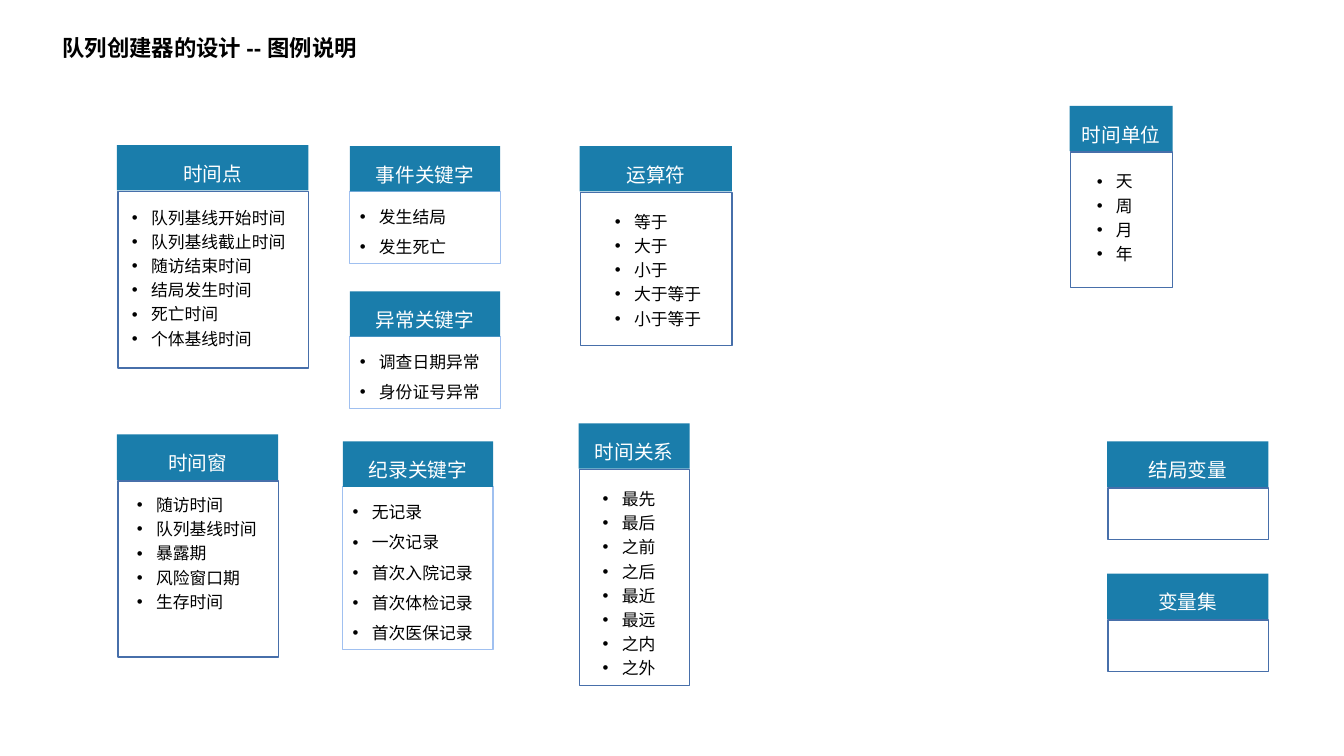
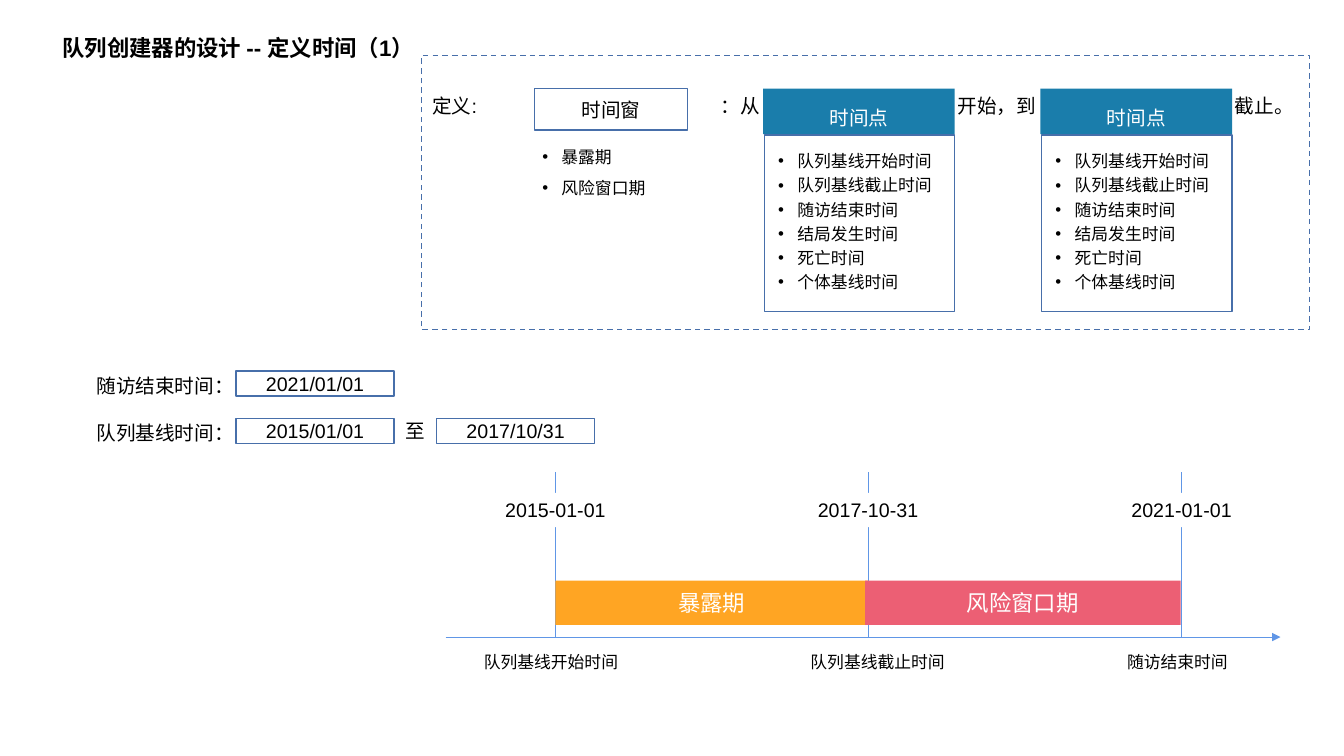
from lxml.etree import SubElement
from pptx import Presentation
from pptx.dml.color import RGBColor
from pptx.enum.dml import MSO_LINE
from pptx.enum.shapes import MSO_CONNECTOR, MSO_SHAPE
from pptx.enum.text import MSO_ANCHOR, MSO_AUTO_SIZE, PP_ALIGN
from pptx.oxml.ns import qn
from pptx.util import Inches, Pt

BLACK = RGBColor(0x00, 0x00, 0x00)
WHITE = RGBColor(0xFF, 0xFF, 0xFF)
HEADER_BLUE = RGBColor(0x1A, 0x7D, 0xAB)
FRAME_BLUE = RGBColor(0x47, 0x6F, 0xAA)
PALE_BLUE = RGBColor(0xA0, 0xC0, 0xF0)
AXIS_BLUE = RGBColor(0x60, 0x96, 0xE6)
ORANGE = RGBColor(0xFF, 0xA5, 0x23)
ROSE = RGBColor(0xEC, 0x5F, 0x74)
FONT = "Arial"
HEADER_HEIGHT = 0.45
BULLET_INDENT = 0.19
TIME_POINTS = ["队列基线开始时间", "队列基线截止时间", "随访结束时间",
               "结局发生时间", "死亡时间", "个体基线时间"]


def add_bullet(paragraph):
    """Give a paragraph a round bullet with a hanging indent."""
    properties = paragraph._p.get_or_add_pPr()
    properties.set("marL", str(Inches(BULLET_INDENT)))
    properties.set("indent", str(-Inches(BULLET_INDENT)))
    SubElement(properties, qn("a:buFont"), typeface=FONT)
    SubElement(properties, qn("a:buChar"), char="•")


def write(shape, lines, size=14, color=BLACK, align=PP_ALIGN.LEFT, spacing=1.0,
          anchor=MSO_ANCHOR.TOP, bold=False, bullets=False):
    """Fill a shape with equally formatted paragraphs."""
    frame = shape.text_frame
    frame.word_wrap = True
    frame.auto_size = MSO_AUTO_SIZE.NONE
    frame.vertical_anchor = anchor
    frame.text = "\n".join(lines)
    for paragraph in frame.paragraphs:
        if bullets:
            add_bullet(paragraph)
        paragraph.alignment = align
        paragraph.line_spacing = spacing
        paragraph.font.name = FONT
        paragraph.font.size = Pt(size)
        paragraph.font.bold = bold
        paragraph.font.color.rgb = color


def add_text(slide, lines, left, top, width, height, **style):
    """Add a text box."""
    box = slide.shapes.add_textbox(Inches(left), Inches(top), Inches(width), Inches(height))
    write(box, lines, **style)


def add_box(slide, left, top, width, height, fill=None, line=None, line_width=1):
    """Add a rectangle with an optional fill and outline."""
    box = slide.shapes.add_shape(MSO_SHAPE.RECTANGLE, Inches(left), Inches(top),
                                 Inches(width), Inches(height))
    box.shadow.inherit = False
    if fill is None:
        box.fill.background()
    else:
        box.fill.solid()
        box.fill.fore_color.rgb = fill
    if line is None:
        box.line.fill.background()
    else:
        box.line.color.rgb = line
        box.line.width = Pt(line_width)
    return box


def add_line(slide, start, end, arrow=False):
    """Add a thin straight line, with an arrowhead at its end if wanted."""
    connector = slide.shapes.add_connector(MSO_CONNECTOR.STRAIGHT, *map(Inches, start + end))
    connector.line.color.rgb = AXIS_BLUE
    connector.line.width = Pt(0.5)
    if arrow:
        SubElement(connector.line._get_or_add_ln(), qn("a:tailEnd"), type="triangle")
    SubElement(connector._element.spPr, qn("a:effectLst"))


def add_header(slide, title, left, top, width):
    """Add the blue header of a card."""
    header = add_box(slide, left, top, width, HEADER_HEIGHT, fill=HEADER_BLUE)
    write(header, [title], color=WHITE, align=PP_ALIGN.CENTER, spacing=1.5)


def add_card(slide, title, items, left, top, width, body_height, offset=(0.05, 0.53)):
    """Add a header over a framed list, whose text starts at the offset."""
    add_header(slide, title, left, top, width)
    add_box(slide, left + 0.01, top + HEADER_HEIGHT + 0.01, width - 0.01, body_height,
            line=FRAME_BLUE)
    if items:
        across, down = offset
        add_text(slide, items, left + across, top + down, width - across,
                 body_height + HEADER_HEIGHT - down, size=12, spacing=1.2, bullets=True)


def add_keyword_card(slide, title, items, left, top, body_height):
    """Add a header over a pale frame that holds the list itself."""
    width = 1.49
    body = add_box(slide, left, top + HEADER_HEIGHT, width, body_height,
                   line=PALE_BLUE, line_width=0.75)
    write(body, items, size=12, spacing=1.5, bullets=True)
    add_header(slide, title, left, top, width)


def add_field(slide, text, left, top, width=1.57, height=0.25):
    """Add an outlined input field."""
    field = add_box(slide, left, top, width, height, line=FRAME_BLUE)
    write(field, [text], align=PP_ALIGN.CENTER, anchor=MSO_ANCHOR.MIDDLE)


def add_titled_slide(presentation, title):
    """Add a title-only slide with the shared title style."""
    slide = presentation.slides.add_slide(presentation.slide_layouts[5])
    shape = slide.shapes.title
    shape.left, shape.top, shape.width, shape.height = map(Inches, (0.52, 0.29, 4.75, 0.37))
    write(shape, [title], size=16, bold=True)
    return slide


def build_legend(presentation):
    """Build the slide that lists all building blocks."""
    slide = add_titled_slide(presentation, "队列创建器的设计 -- 图例说明")
    cards = [
        ("时间点", TIME_POINTS, 1.16, 1.44, 1.9, 1.75, (0.05, 0.53)),
        ("时间窗", ["随访时间", "队列基线时间", "暴露期", "风险窗口期", "生存时间"],
         1.16, 4.31, 1.6, 1.75, (0.1, 0.51)),
        ("时间单位", ["天", "周", "月", "年"], 10.61, 1.05, 1.02, 1.34, (0.17, 0.56)),
        ("运算符", ["等于", "大于", "小于", "大于等于", "小于等于"],
         5.75, 1.45, 1.51, 1.52, (0.25, 0.56)),
        ("时间关系", ["最先", "最后", "之前", "之后", "最近", "最远", "之内", "之外"],
         5.74, 4.2, 1.1, 2.14, (0.14, 0.56)),
        ("结局变量", [], 10.98, 4.38, 1.6, 0.51),
        ("变量集", [], 10.98, 5.69, 1.6, 0.51),
    ]
    for card in cards:
        add_card(slide, *card)
    keyword_cards = [
        ("事件关键字", ["发生结局", "发生死亡"], 3.47, 1.45, 0.71),
        ("异常关键字", ["调查日期异常", "身份证号异常"], 3.47, 2.89, 0.71),
        ("纪录关键字", ["无记录", "一次记录", "首次入院记录", "首次体检记录", "首次医保记录"],
         3.4, 4.38, 1.61),
    ]
    for card in keyword_cards:
        add_keyword_card(slide, *card)


def add_definition(slide):
    """Add the dashed panel with the sentence that defines a time window."""
    top = 0.88
    for text, left, width in [("定义:", 4.19, 0.87), ("：从", 7.05, 0.71),
                              ("开始，到", 9.4, 1.34), ("截止。", 12.15, 0.98)]:
        add_text(slide, [text], left, top, width, 0.34)
    add_field(slide, "时间窗", 5.3, top, 1.52, 0.41)
    add_text(slide, ["暴露期", "风险窗口期"], 5.28, 1.31, 1.59, 0.71,
             size=12, spacing=1.5, bullets=True)
    for left in (7.57, 10.32):
        add_card(slide, "时间点", TIME_POINTS, left, top, 1.9, 1.75)
    panel = add_box(slide, 4.18, 0.55, 8.81, 2.72, line=FRAME_BLUE)
    panel.line.dash_style = MSO_LINE.DASH


def add_date_fields(slide):
    """Add the date inputs with their labels."""
    add_text(slide, ["随访结束时间：", "队列基线时间："], 0.52, 3.43, 1.9, 1.04,
             align=PP_ALIGN.RIGHT, spacing=2.0)
    for date, left, top in [("2021/01/01", 2.34, 3.68), ("2015/01/01", 2.34, 4.15),
                            ("2017/10/31", 4.33, 4.15)]:
        add_field(slide, date, left, top)
    add_text(slide, ["至"], 3.92, 4.11, 0.41, 0.34)


def add_timeline(slide):
    """Add the time axis with its moments and periods."""
    axis_top = 6.32
    date_width = 1.5
    add_line(slide, (4.42, axis_top), (12.7, axis_top), arrow=True)
    for date, label, center, label_left in [
            ("2015-01-01", "队列基线开始时间", 5.51, 4.7),
            ("2017-10-31", "队列基线截止时间", 8.61, 7.94),
            ("2021-01-01", "随访结束时间", 11.72, 11.08)]:
        add_line(slide, (center, axis_top), (center, 4.68))
        date_box = add_box(slide, center - date_width / 2, 4.89, date_width, 0.34, fill=WHITE)
        write(date_box, [date], align=PP_ALIGN.CENTER)
        add_text(slide, [label], label_left, axis_top, 2, 0.4, size=12, spacing=1.5)
    for period, left, width, color in [("暴露期", 5.51, 3.1, ORANGE),
                                       ("风险窗口期", 8.58, 3.13, ROSE)]:
        bar = add_box(slide, left, 5.76, width, 0.44, fill=color)
        write(bar, [period], size=16, color=WHITE, align=PP_ALIGN.CENTER,
              anchor=MSO_ANCHOR.MIDDLE)


def build_time_definition(presentation):
    """Build the slide that defines time windows."""
    slide = add_titled_slide(presentation, "队列创建器的设计 -- 定义时间（1）")
    add_timeline(slide)
    add_date_fields(slide)
    add_definition(slide)


def main():
    """Build and save the presentation."""
    presentation = Presentation()
    presentation.slide_width = Inches(13.33)
    presentation.slide_height = Inches(7.5)
    build_legend(presentation)
    build_time_definition(presentation)
    presentation.save("out.pptx")


if __name__ == "__main__":
    main()
